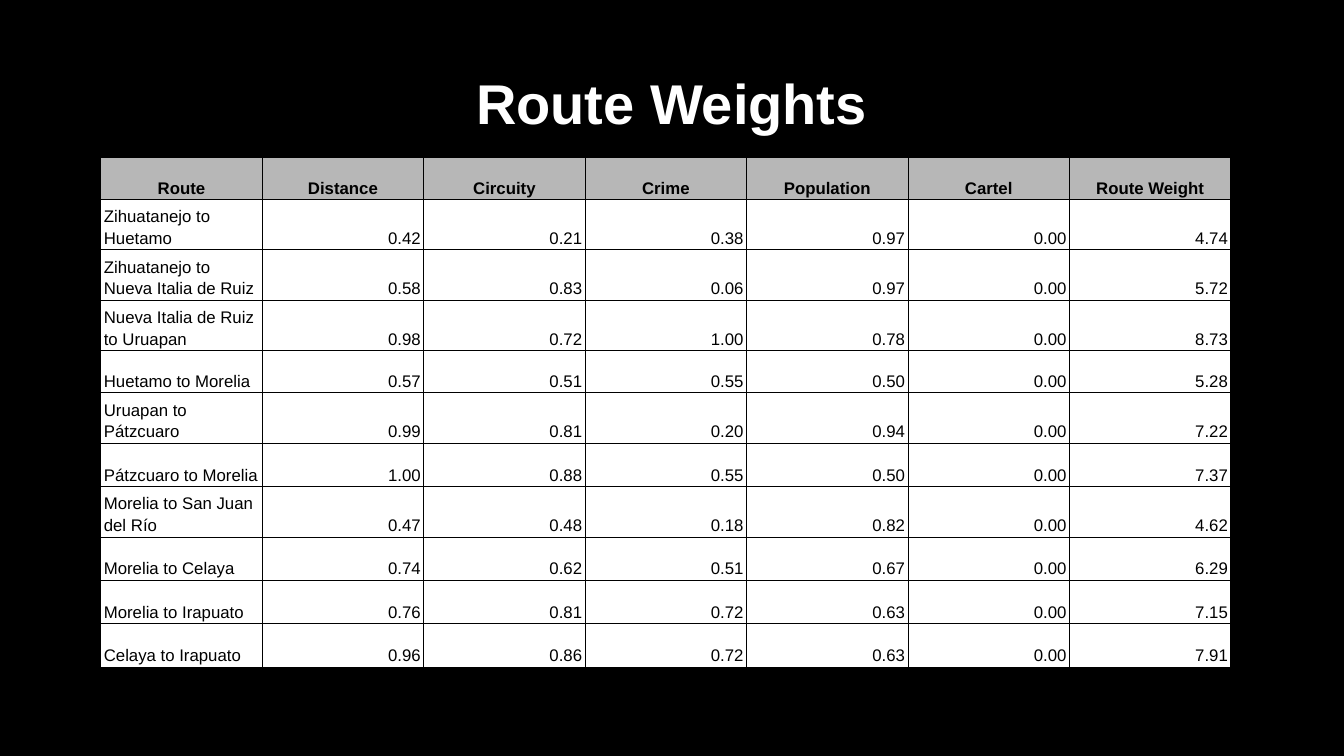
import lxml.etree
import pptx
import pptx.dml.color
import pptx.enum.text
import pptx.oxml.ns
import pptx.util

BLACK = pptx.dml.color.RGBColor(0x00, 0x00, 0x00)
WHITE = pptx.dml.color.RGBColor(0xFF, 0xFF, 0xFF)
GREY = pptx.dml.color.RGBColor(0xB7, 0xB7, 0xB7)
ALIGN = pptx.enum.text.PP_ALIGN
ANCHOR = pptx.enum.text.MSO_ANCHOR

HEADS = ["Route", "Distance", "Circuity", "Crime", "Population", "Cartel", "Route Weight"]
ROUTES = [
    ("Zihuatanejo to Huetamo", 0.42, 0.21, 0.38, 0.97, 0, 4.74),
    ("Zihuatanejo to Nueva Italia de Ruiz", 0.58, 0.83, 0.06, 0.97, 0, 5.72),
    ("Nueva Italia de Ruiz to Uruapan", 0.98, 0.72, 1, 0.78, 0, 8.73),
    ("Huetamo to Morelia", 0.57, 0.51, 0.55, 0.5, 0, 5.28),
    ("Uruapan to Pátzcuaro", 0.99, 0.81, 0.2, 0.94, 0, 7.22),
    ("Pátzcuaro to Morelia", 1, 0.88, 0.55, 0.5, 0, 7.37),
    ("Morelia to San Juan del Río", 0.47, 0.48, 0.18, 0.82, 0, 4.62),
    ("Morelia to Celaya", 0.74, 0.62, 0.51, 0.67, 0, 6.29),
    ("Morelia to Irapuato", 0.76, 0.81, 0.72, 0.63, 0, 7.15),
    ("Celaya to Irapuato", 0.96, 0.86, 0.72, 0.63, 0, 7.91),
]


class Deck:
    """Holds the style and the current slide, measured at 100 px to the inch."""

    font = "Arial"
    scale = 9144

    def __init__(self, width, height):
        self.show = pptx.Presentation()
        self.show.slide_width = self.px(width)
        self.show.slide_height = self.px(height)
        self.slide = self.show.slides.add_slide(self.show.slide_layouts[6])
        fill = self.slide.background.fill
        fill.solid()
        fill.fore_color.rgb = BLACK

    def px(self, count):
        return pptx.util.Emu(count * self.scale)

    def text(self, frame, words, size, color, bold, align, space):
        frame.text = words
        para = frame.paragraphs[0]
        para.alignment = align
        para.line_spacing = space
        for run in para.runs:
            run.font.name = self.font
            run.font.size = pptx.util.Pt(size)
            run.font.bold = bold
            run.font.color.rgb = color

    def title(self, words, *box):
        frame = self.slide.shapes.add_textbox(*map(self.px, box)).text_frame
        frame.word_wrap = True
        frame.vertical_anchor = ANCHOR.MIDDLE
        self.text(frame, words, 40, WHITE, True, ALIGN.CENTER, 0.9)

    def border(self, cell, color, width):
        props = cell._tc.get_or_add_tcPr()
        name = pptx.oxml.ns.qn
        for side in ("a:lnL", "a:lnR", "a:lnT", "a:lnB"):
            line = lxml.etree.SubElement(props, name(side), w=str(pptx.util.Pt(width)))
            fill = lxml.etree.SubElement(line, name("a:solidFill"))
            lxml.etree.SubElement(fill, name("a:srgbClr"), val=str(color))

    def cell(self, cell, words, fill, bold, align):
        cell.margin_left = cell.margin_right = self.px(3)
        cell.margin_top = cell.margin_bottom = self.px(2)
        cell.vertical_anchor = ANCHOR.BOTTOM
        self.border(cell, BLACK, 0.75)
        cell.fill.solid()
        cell.fill.fore_color.rgb = fill
        self.text(cell.text_frame, words, 12, BLACK, bold, align, 1.15)

    def table(self, heads, rows, left, top, width, heights):
        frame = self.slide.shapes.add_table(
            len(heights), len(heads),
            *map(self.px, (left, top, width, sum(heights))))
        grid = frame.table
        grid.horz_banding = False
        for column in grid.columns:
            column.width = self.px(width) // len(heads)
        for row, height in zip(grid.rows, heights):
            row.height = self.px(height)
        for col, head in enumerate(heads):
            self.cell(grid.cell(0, col), head, GREY, True, ALIGN.CENTER)
        for row, (route, *values) in enumerate(rows, 1):
            self.cell(grid.cell(row, 0), route, WHITE, False, ALIGN.LEFT)
            for col, value in enumerate(values, 1):
                self.cell(grid.cell(row, col), f"{value:.2f}", WHITE, False, ALIGN.RIGHT)


def main():
    deck = Deck(1333, 750)
    deck.title("Route Weights", 100, 33, 1132, 145)
    deck.table(HEADS, ROUTES, 100, 156, 1121, [42] * 6 + [43] * 5)
    deck.show.save("out.pptx")


if __name__ == "__main__":
    main()
